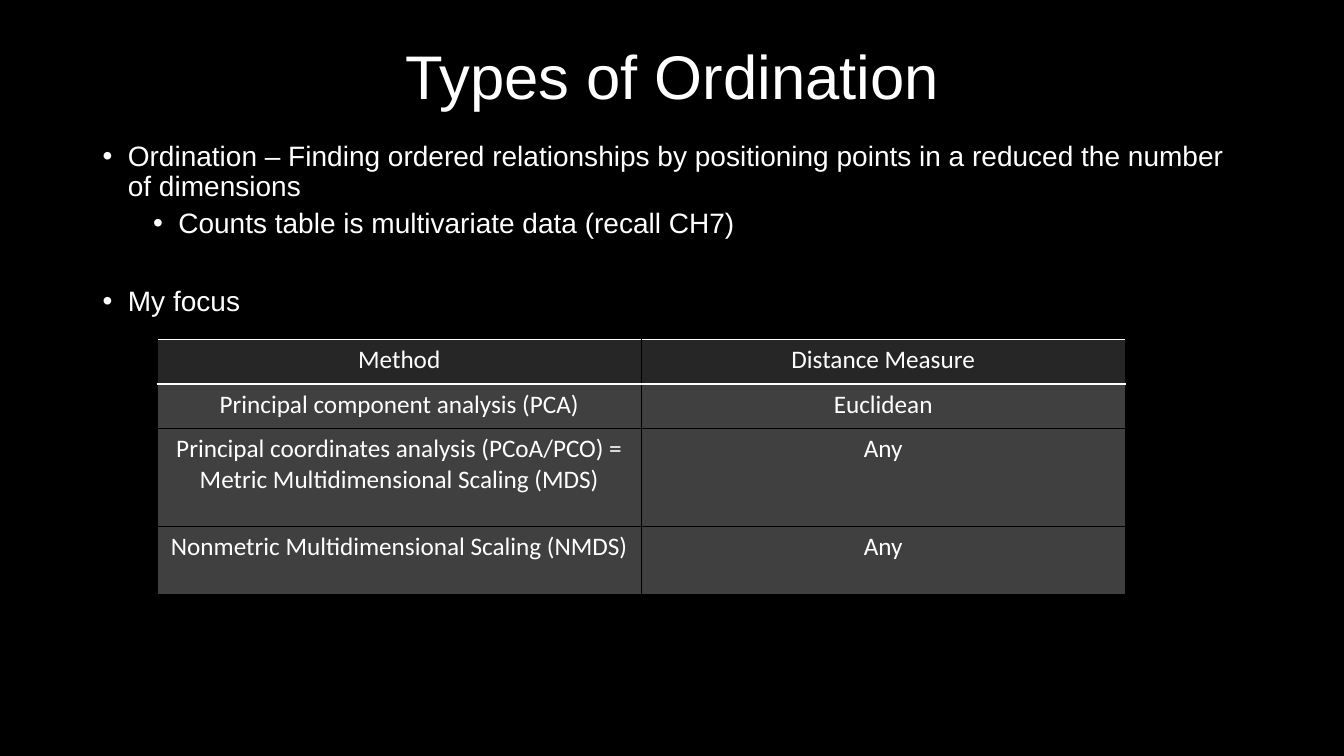
"""Build the Types of Ordination slide with its bullets and method table."""
from dataclasses import dataclass

from lxml import etree
from pptx import Presentation
from pptx.dml.color import RGBColor
from pptx.enum.text import MSO_ANCHOR, PP_ALIGN
from pptx.oxml.ns import qn
from pptx.slide import Slide
from pptx.table import _Cell
from pptx.text.text import TextFrame, _Paragraph
from pptx.util import Inches, Pt

CENTER = PP_ALIGN.CENTER
LEFT = PP_ALIGN.LEFT
MIDDLE = MSO_ANCHOR.MIDDLE
TOP = MSO_ANCHOR.TOP


@dataclass(frozen=True)
class Theme:
    """Colours, fonts and type sizes of the slide."""
    background: str = "000000"
    text: str = "FFFFFF"
    header_fill: str = "262626"
    body_fill: str = "404040"
    slide_font: str = "Arial"
    table_font: str = "Calibri"
    title_size: int = 44
    bullet_size: int = 20
    table_size: int = 18
    border_width: float = 0.96


@dataclass(frozen=True)
class Bullet:
    """A bulleted paragraph."""
    text: str
    level: int
    space_before: int


@dataclass(frozen=True)
class MethodRow:
    """A table row naming a method and its distance measure."""
    method: str
    distance: str
    height: float


THEME = Theme()
BULLETS = [
    Bullet("Ordination – Finding ordered relationships by positioning points "
           "in a reduced the number of dimensions", 0, 10),
    Bullet("Counts table is multivariate data (recall CH7)", 1, 5),
    Bullet("My focus", 0, 34),
]
ROWS = [
    MethodRow("Method", "Distance Measure", 0.44),
    MethodRow("Principal component analysis (PCA)", "Euclidean", 0.44),
    MethodRow("Principal coordinates analysis (PCoA/PCO) = "
              "Metric Multidimensional Scaling (MDS)", "Any", 0.97),
    MethodRow("Nonmetric Multidimensional Scaling (NMDS)", "Any", 0.68),
]


def write_text(paragraph: _Paragraph, text: str, font_name: str, size: int,
               **paragraph_format: object) -> None:
    """Write one run and apply its font and paragraph format."""
    run = paragraph.add_run()
    run.text = text
    for name, value in {"name": font_name, "size": Pt(size), "bold": False}.items():
        setattr(run.font, name, value)
    run.font.color.rgb = RGBColor.from_string(THEME.text)
    for name, value in paragraph_format.items():
        setattr(paragraph, name, value)


def add_text_frame(slide: Slide, top: float, height: float,
                   anchor: MSO_ANCHOR) -> TextFrame:
    """Add a wrapping text box across the content width."""
    shape = slide.shapes.add_textbox(Inches(0.92), Inches(top), Inches(11.5), Inches(height))
    frame = shape.text_frame
    for name, value in {"word_wrap": True, "vertical_anchor": anchor}.items():
        setattr(frame, name, value)
    return frame


def add_color(parent: etree._Element, tag: str, color: str) -> None:
    """Append a colour holder with an RGB value."""
    holder = etree.SubElement(parent, qn(tag))
    etree.SubElement(holder, qn("a:srgbClr"), val=color)


def add_bullet(paragraph: _Paragraph, bullet: Bullet) -> None:
    """Write a paragraph with a hanging bullet."""
    write_text(paragraph, bullet.text, THEME.slide_font, THEME.bullet_size,
               alignment=LEFT, level=bullet.level, line_spacing=0.9,
               space_before=Pt(bullet.space_before))
    properties = paragraph._p.get_or_add_pPr()
    properties.set("marL", str(Inches(0.25 + 0.5 * bullet.level)))
    properties.set("indent", str(Inches(-0.25)))
    add_color(properties, "a:buClr", THEME.text)
    etree.SubElement(properties, qn("a:buFont"), typeface=THEME.slide_font)
    etree.SubElement(properties, qn("a:buChar"), char="•")


def set_borders(cell: _Cell, top: str, bottom: str) -> None:
    """Draw the four cell borders, with dark sides."""
    properties = cell._tc.get_or_add_tcPr()
    borders = {"a:lnL": THEME.background, "a:lnR": THEME.background,
               "a:lnT": top, "a:lnB": bottom}
    for position, (tag, color) in enumerate(borders.items()):
        line = etree.Element(qn(tag), w=str(Pt(THEME.border_width)))
        add_color(line, "a:solidFill", color)
        properties.insert(position, line)


def add_method_table(slide: Slide) -> None:
    """Add the table of ordination methods."""
    table = slide.shapes.add_table(
        len(ROWS), 2, Inches(1.56), Inches(3.37), Inches(9.6),
        Inches(sum(row.height for row in ROWS))).table
    table.horz_banding = False
    table.first_row = False
    for column in table.columns:
        column.width = Inches(4.8)
    for index, row in enumerate(ROWS):
        table.rows[index].height = Inches(row.height)
        fill = THEME.body_fill if index else THEME.header_fill
        top = THEME.text if index < 2 else THEME.background
        bottom = THEME.background if index else THEME.text
        for column_index, text in enumerate((row.method, row.distance)):
            cell = table.cell(index, column_index)
            cell.fill.solid()
            cell.fill.fore_color.rgb = RGBColor.from_string(fill)
            set_borders(cell, top, bottom)
            write_text(cell.text_frame.paragraphs[0], text, THEME.table_font,
                       THEME.table_size, alignment=CENTER)


def main() -> None:
    """Build and save the presentation."""
    presentation = Presentation()
    presentation.slide_width = Inches(13.33)
    presentation.slide_height = Inches(7.5)
    slide = presentation.slides.add_slide(presentation.slide_layouts[6])
    slide.background.fill.solid()
    slide.background.fill.fore_color.rgb = RGBColor.from_string(THEME.background)

    title = add_text_frame(slide, 0.4, 0.77, MIDDLE)
    write_text(title.paragraphs[0], "Types of Ordination", THEME.slide_font,
               THEME.title_size, alignment=CENTER, line_spacing=0.9)
    body = add_text_frame(slide, 1.36, 5.63, TOP)
    for index, bullet in enumerate(BULLETS):
        add_bullet(body.add_paragraph() if index else body.paragraphs[0], bullet)
    add_method_table(slide)
    presentation.save("out.pptx")


if __name__ == "__main__":
    main()
